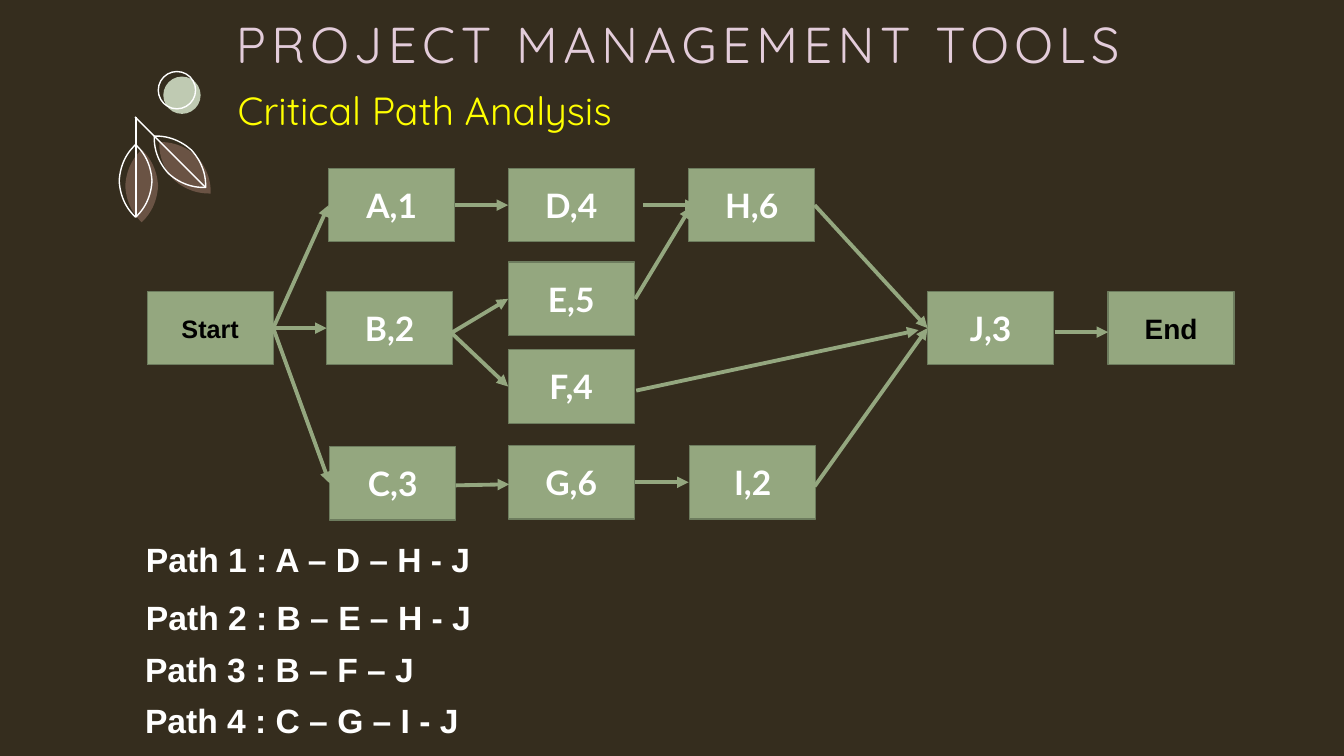
from lxml.etree import SubElement
from pptx import Presentation
from pptx.dml.color import RGBColor
from pptx.enum.shapes import MSO_CONNECTOR as Connector, MSO_SHAPE as Shape
from pptx.enum.text import MSO_ANCHOR as Anchor, PP_ALIGN as Align
from pptx.oxml.ns import qn
from pptx.util import Inches, Pt

BACKGROUND, GREEN, GREEN_EDGE = "352D1E", "94A77F", "6D7C5E"
WHITE, BLACK, BROWN, SAGE = "FFFFFF", "000000", "BA8C7F", "BFCAB2"

TITLE = "PROJECT MANAGEMENT TOOLS"
SUBTITLE = "Critical Path Analysis"
PATHS = [
    ("Path 1 : A – D – H - J", 1.35, 5.3),
    ("Path 2 : B – E – H - J", 1.35, 5.87),
    ("Path 3 : B – F – J", 1.34, 6.39),
    ("Path 4 : C – G – I - J", 1.34, 6.89),
]

NODE_WIDTH, NODE_HEIGHT = 1.25, 0.73
TERMINALS = {"Start": 18, "End": 20}
NODES = {
    "Start": (1.46, 2.89),
    "A,1": (3.26, 1.67), "B,2": (3.24, 2.89), "C,3": (3.27, 4.43),
    "D,4": (5.04, 1.67), "E,5": (5.04, 2.6), "F,4": (5.04, 3.47), "G,6": (5.04, 4.42),
    "H,6": (6.83, 1.67), "I,2": (6.84, 4.42),
    "J,3": (9.2, 2.89), "End": (10.99, 2.89),
}
NO_SHIFT = (0, 0)
LINKS = [
    ("Start", "A,1", NO_SHIFT, NO_SHIFT),
    ("Start", "B,2", NO_SHIFT, NO_SHIFT),
    ("Start", "C,3", NO_SHIFT, NO_SHIFT),
    ("A,1", "D,4", NO_SHIFT, NO_SHIFT),
    ("B,2", "E,5", (0, 0.04), NO_SHIFT),
    ("B,2", "F,4", (-0.02, 0.04), NO_SHIFT),
    ("C,3", "G,6", (0, 0.02), (0.01, 0.02)),
    ("D,4", "H,6", (0.09, 0), (0.08, 0)),
    ("E,5", "H,6", (0.01, 0), (0.02, 0.02)),
    ("G,6", "I,2", (0.01, 0), (-0.01, 0)),
    ("F,4", "J,3", (0.02, 0.04), (-0.09, 0.02)),
    ("H,6", "J,3", NO_SHIFT, NO_SHIFT),
    ("I,2", "J,3", (-0.01, 0.04), NO_SHIFT),
    ("J,3", "End", (0.01, 0.04), (0, 0.04)),
]

LEAF_SIDE = [
    ((0.02, 0), (0.15, 0), (0.27, 0.05), (0.37, 0.14)),
    ((0.37, 0.14), (0.46, 0.24), (0.51, 0.36), (0.51, 0.49)),
]
LEAF_SIZE, CURVE_STEPS = 0.51, 12
LEAVES = [
    (1.58, 1.41, 0, BROWN, None),
    (1.15, 1.59, 45, BROWN, None),
    (1.09, 1.54, 45, None, WHITE),
    (1.53, 1.35, 0, None, WHITE),
]
STEMS = [((1.35, 2.15), (1.35, 1.16)), ((2.04, 1.86), (1.34, 1.16))]
BERRIES = [(1.62, 0.76, SAGE, None), (1.57, 0.71, None, WHITE)]
BERRY_SIZE = 0.37


def color(value):
    return RGBColor.from_string(value)


def paint(shape, fill, line, weight=1):
    shape.shadow.inherit = False
    if fill:
        shape.fill.solid()
        shape.fill.fore_color.rgb = color(fill)
    else:
        shape.fill.background()
    if line:
        shape.line.color.rgb = color(line)
        shape.line.width = Pt(weight)
    else:
        shape.line.fill.background()


def write(para, text, size, font, tint, bold=False):
    span = para.add_run()
    span.text = text
    span.font.size = Pt(size)
    span.font.name = font
    span.font.bold = bold
    span.font.color.rgb = color(tint)
    return span


def add_text(left, top, width, height, *style):
    box = page.shapes.add_textbox(Inches(left), Inches(top), Inches(width), Inches(height))
    box.text_frame.word_wrap = True
    return box.text_frame, write(box.text_frame.paragraphs[0], *style)


def add_line(shapes, start, end, tint, weight):
    line = shapes.add_connector(
        Connector.STRAIGHT, *(Inches(value) for value in (*start, *end)))
    line.line.color.rgb = color(tint)
    line.line.width = Pt(weight)
    SubElement(line._element.spPr, qn("a:effectLst"))
    return line


def bezier(points, t):
    weights = ((1 - t) ** 3, 3 * t * (1 - t) ** 2, 3 * t * t * (1 - t), t ** 3)
    return tuple(sum(w * point[axis] for w, point in zip(weights, points)) for axis in (0, 1))


def leaf_outline():
    side = [bezier(curve, step / CURVE_STEPS)
            for curve in LEAF_SIDE for step in range(CURVE_STEPS + 1)]
    side.append((LEAF_SIZE, LEAF_SIZE))
    opposite = [(LEAF_SIZE - x, LEAF_SIZE - y) for x, y in side]
    return side + opposite


def add_leaf(shapes, left, top, turn, fill, line):
    points = [(Inches(left + x), Inches(top + y)) for x, y in leaf_outline()]
    builder = shapes.build_freeform(*points[0])
    builder.add_line_segments(points[1:], close=True)
    leaf = builder.convert_to_shape()
    leaf.rotation = turn
    paint(leaf, fill, line)
    if fill:
        tone = leaf._element.spPr.find(qn("a:solidFill")).find(qn("a:srgbClr"))
        SubElement(tone, qn("a:alpha"), val="40000")


def add_node(name, left, top):
    node = page.shapes.add_shape(
        Shape.RECTANGLE, Inches(left), Inches(top), Inches(NODE_WIDTH), Inches(NODE_HEIGHT))
    paint(node, GREEN, GREEN_EDGE, 0.85)
    node.text_frame.vertical_anchor = Anchor.MIDDLE
    para = node.text_frame.paragraphs[0]
    para.alignment = Align.CENTER
    if name in TERMINALS:
        write(para, name, TERMINALS[name], "Arial", BLACK, True)
    else:
        write(para, name, 24, "Lato", WHITE, True)


def add_link(source, target, start_shift, end_shift):
    middle = NODE_HEIGHT / 2
    left, top = NODES[source]
    start = (left + NODE_WIDTH + start_shift[0], top + middle + start_shift[1])
    left, top = NODES[target]
    end = (left + end_shift[0], top + middle + end_shift[1])
    arrow = add_line(page.shapes, start, end, GREEN, 2.75)
    SubElement(arrow.line._get_or_add_ln(), qn("a:tailEnd"), type="triangle")


deck = Presentation()
deck.slide_width, deck.slide_height = Inches(13.33), Inches(7.5)
page = deck.slides.add_slide(deck.slide_layouts[6])
page.background.fill.solid()
page.background.fill.fore_color.rgb = color(BACKGROUND)

frame, heading = add_text(2.34, 0.1, 10.4, 0.66, TITLE, 36, "Quicksand", "E3CCDA")
frame.margin_left = frame.margin_right = frame.margin_top = frame.margin_bottom = 0
frame.vertical_anchor = Anchor.MIDDLE
heading.font._element.set("spc", "400")

sprig = page.shapes.add_group_shape().shapes
for leaf in LEAVES:
    add_leaf(sprig, *leaf)
for start, end in STEMS:
    add_line(sprig, start, end, WHITE, 1)
for left, top, fill, line in BERRIES:
    berry = sprig.add_shape(
        Shape.OVAL, Inches(left), Inches(top), Inches(BERRY_SIZE), Inches(BERRY_SIZE))
    paint(berry, fill, line)

add_text(2.26, 0.81, 6.67, 0.57, SUBTITLE, 28, "Quicksand", "FFFF00")
for text, left, top in PATHS:
    add_text(left, top, 4.1, 0.5, text, 24, "Arial", WHITE, True)
for name, place in NODES.items():
    add_node(name, *place)
for link in LINKS:
    add_link(*link)

deck.save("out.pptx")
